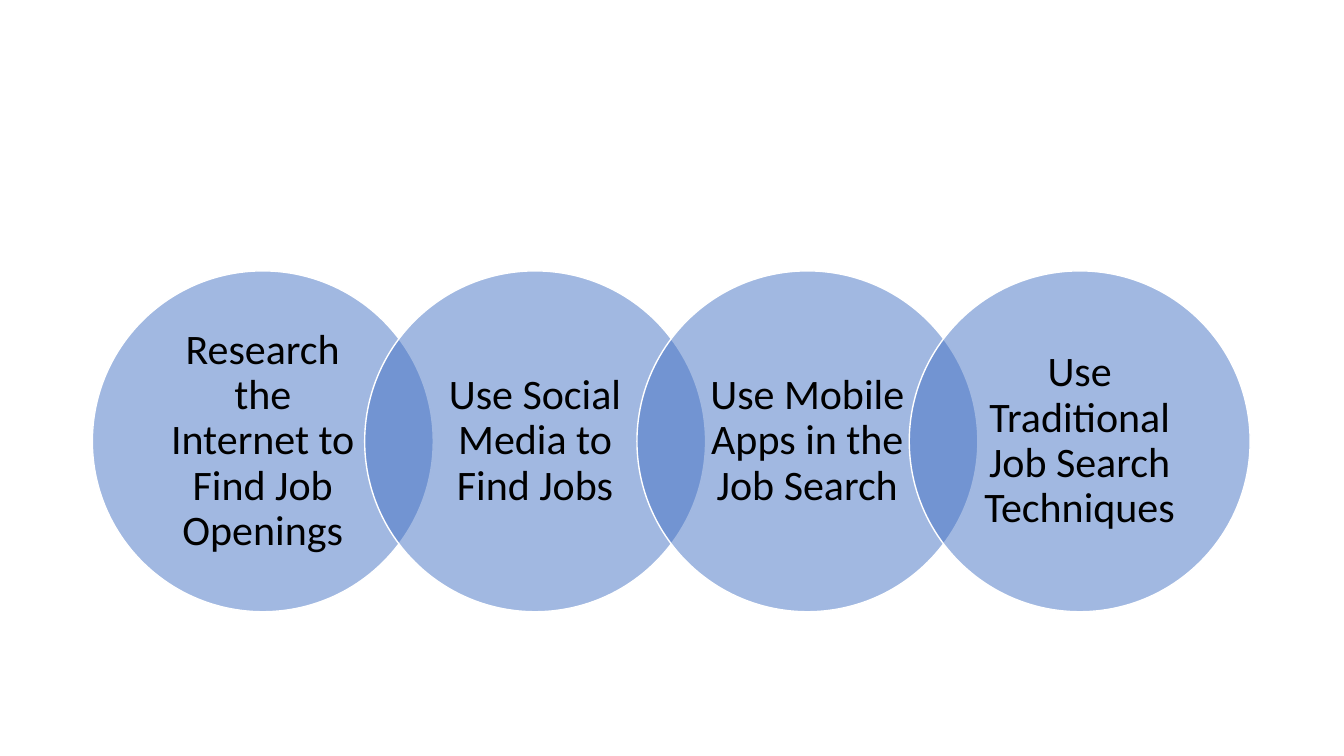
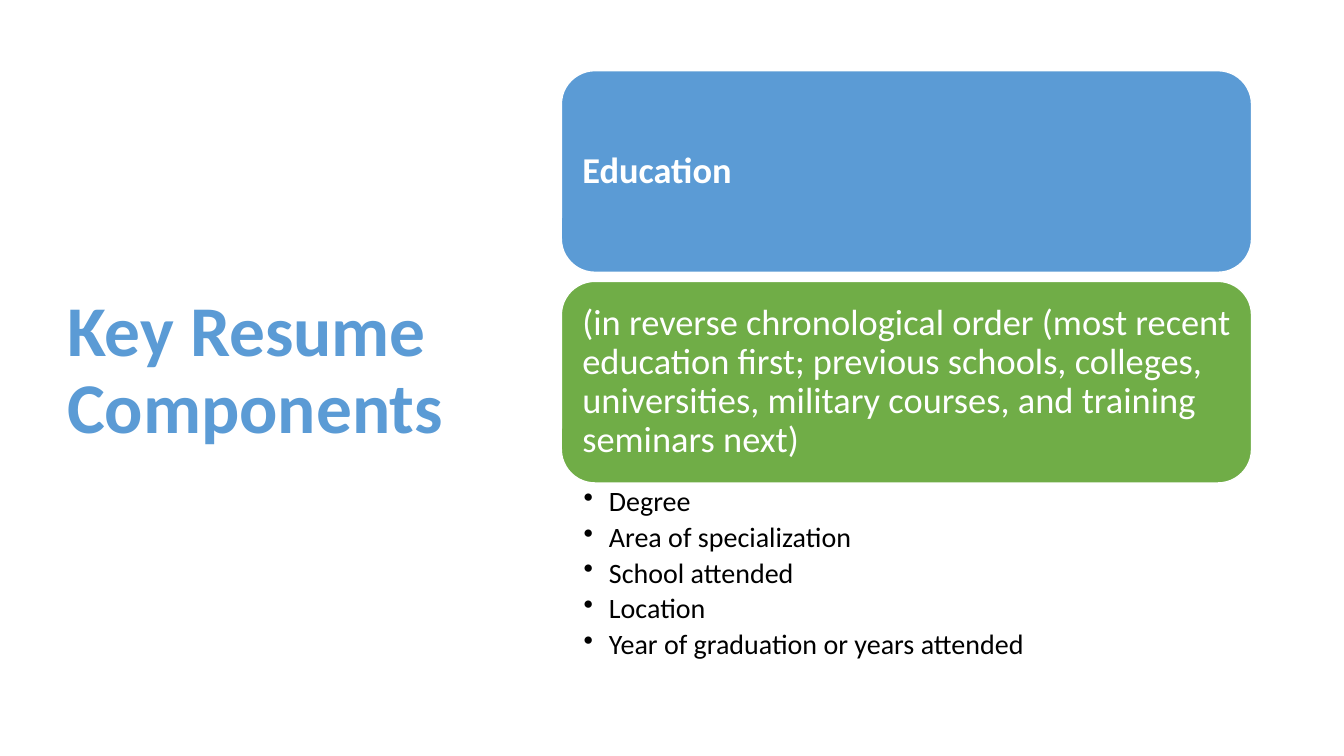
"""Build two slides: job search circles and key resume components."""
from lxml.etree import SubElement
from pptx import Presentation
from pptx.dml.color import RGBColor
from pptx.enum.shapes import MSO_SHAPE as Shape
from pptx.enum.text import MSO_ANCHOR as Anchor, PP_ALIGN as Align
from pptx.oxml.ns import qn
from pptx.util import Pt

PX = 6350
FONT = "Calibri"
BLACK, WHITE = "000000", "FFFFFF"
INDIGO, BLUE, GREEN = "4472C4", "5B9BD5", "70AD47"


def paint(color_format, color):
    color_format.rgb = RGBColor.from_string(color)


def write(box, lines, size, color, margins, bold=False, align=Align.LEFT, anchor=Anchor.MIDDLE):
    frame = box.text_frame
    frame.word_wrap = True
    frame.vertical_anchor = anchor
    frame.margin_left, frame.margin_top, frame.margin_right, frame.margin_bottom = (
        margin * PX for margin in margins)
    for index, line in enumerate(lines):
        para = frame.add_paragraph() if index else frame.paragraphs[0]
        para.alignment = align
        para.line_spacing = 0.9
        span = para.add_run()
        span.text = line
        span.font.name = FONT
        span.font.size = Pt(size)
        span.font.bold = bold
        paint(span.font.color, color)


deck = Presentation()
deck.slide_width, deck.slide_height = 1920 * PX, 1080 * PX
search_page, resume_page = (deck.slides.add_slide(deck.slide_layouts[6]) for _ in range(2))

diameter = 487
circle_step = diameter * 4 // 5
steps = [
    "Research the Internet to Find Job Openings",
    "Use Social Media to Find Jobs",
    "Use Mobile Apps in the Job Search",
    "Use Traditional Job Search Techniques",
]
circles = [
    (search_page, Shape.OVAL, 132 + index * circle_step, 387, diameter, diameter, INDIGO,
     step, 30, BLACK, (27, 6, 27, 6), False, Align.CENTER)
    for index, step in enumerate(steps)
]

card_height, card_gap = 288, 13
topics = [
    ("Education", BLUE, True),
    ("(in reverse chronological order (most recent education first; previous schools, "
     "colleges, universities, military courses, and training seminars next)", GREEN, False),
]
cards = [
    (resume_page, Shape.ROUNDED_RECTANGLE, 802, 101 + index * (card_height + card_gap), 986,
     card_height, fill, topic, 26, WHITE, (16, 16, 14, 16), bold, Align.LEFT)
    for index, (topic, fill, bold) in enumerate(topics)
]

for page, kind, left, top, width, height, fill, text, size, color, margins, bold, align in circles + cards:
    box = page.shapes.add_shape(kind, left * PX, top * PX, width * PX, height * PX)
    box.shadow.inherit = False
    box.fill.solid()
    paint(box.fill.fore_color, fill)
    paint(box.line.color, WHITE)
    box.line.width = Pt(1)
    if kind == Shape.OVAL:
        tint = box.fill._xPr.find(qn("a:solidFill"))[0]
        SubElement(tint, qn("a:alpha"), val="50000")
    write(box, [text], size, color, margins, bold, align)

title = resume_page.shapes.add_textbox(82 * PX, 98 * PX, 599 * PX, 867 * PX)
write(title, ["Key Resume Components"], 51, BLUE, (14, 7, 14, 7), bold=True)

details = resume_page.shapes.add_textbox(802 * PX, 690 * PX, 986 * PX, 271 * PX)
write(details, [
    "Degree",
    "Area of specialization",
    "School attended",
    "Location",
    "Year of graduation or years attended",
], 20, BLACK, (32, 6, 29, 6), anchor=Anchor.TOP)
for para in details.text_frame.paragraphs:
    para.space_after = Pt(4)
    properties = para._p.get_or_add_pPr()
    properties.set("marL", str(36 * PX))
    properties.set("indent", str(-36 * PX))
    SubElement(properties, qn("a:buChar"), char="•")

deck.save("out.pptx")
